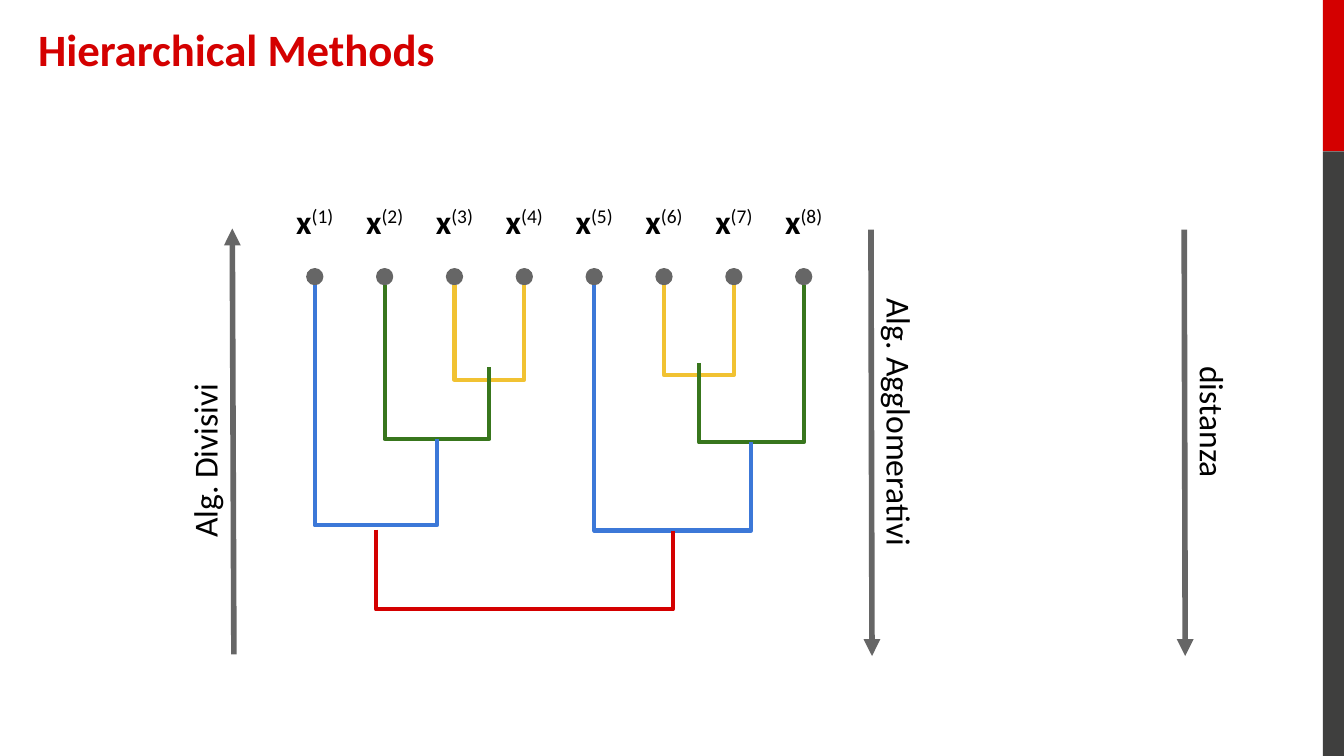
"""Build the slide on hierarchical clustering with its dendrogram."""
from pptx import Presentation
from pptx.dml.color import RGBColor
from pptx.enum.shapes import MSO_CONNECTOR as CONN, MSO_SHAPE as SHAPE
from pptx.enum.text import PP_ALIGN as ALIGN
from pptx.oxml.ns import qn
from pptx.util import Cm, Pt
from lxml.etree import SubElement

COLORS = {
    "red": "D40000", "dark": "3F3F3E", "gray": "666666", "black": "000000",
    "yellow": "F1C232", "green": "38761D", "blue": "3C78D8",
}
FONT = "Calibri"
LEAVES = 8
LEAF_X, LEAF_STEP = 5.95, 1.32
DOT_TOP, DOT_SIZE = 5.08, 0.3
DOT_BOTTOM = DOT_TOP + DOT_SIZE
MIN_RISE = 0.01

# Each join: left and right leaf position, their top ends, the bar's height, colour.
JOINS = [
    (2, 3, DOT_BOTTOM, DOT_BOTTOM, 7.18, "yellow"),
    (5, 6, DOT_BOTTOM, DOT_BOTTOM, 7.09, "yellow"),
    (1, 2.5, DOT_BOTTOM, 6.93, 8.3, "green"),
    (5.5, 7, 6.86, DOT_BOTTOM, 8.36, "green"),
    (0, 1.75, DOT_BOTTOM, 8.3, 9.93, "blue"),
    (4, 6.25, DOT_BOTTOM, 8.36, 10.03, "blue"),
    (0.875, 5.125, 10.01, 10.03, 11.52, "red"),
]
ARROWS = [
    ("distanza", (22.38, 4.34), (22.4, 12.4), (22.92, 7.98), 90),
    ("Alg. Agglomerativi", (16.46, 4.34), (16.48, 12.4), (17, 7.98), 90),
    ("Alg. Divisivi", (4.42, 12.37), (4.39, 4.32), (3.87, 8.71), 270),
]


def rgb(name):
    """Return the named colour."""
    return RGBColor.from_string(COLORS[name])


def leaf_x(i):
    """Return the horizontal centre of a leaf position."""
    return LEAF_X + i * LEAF_STEP


def add_text(slide, box, text, size=18, color="black", bold=False, sup="",
             align=ALIGN.CENTER, insets=(0.25, 0.25, 0.25, 0.25), rotation=0):
    """Add a text box with an optional superscript after the text."""
    s = slide.shapes.add_textbox(*map(Cm, box))
    s.rotation = rotation
    tf = s.text_frame
    tf.word_wrap = True
    tf.margin_left, tf.margin_top, tf.margin_right, tf.margin_bottom = map(Cm, insets)
    p = tf.paragraphs[0]
    p.alignment = align
    for part, is_sup in ((text, False), (sup, True)):
        if part:
            r = p.add_run()
            r.text = part
            r.font.name, r.font.size = FONT, Pt(size)
            r.font.bold = bold and not is_sup
            r.font.color.rgb = rgb(color)
            if is_sup:
                r._r.get_or_add_rPr().set("baseline", "30000")


def add_filled(slide, kind, box, color, outlined=False):
    """Add a plain filled shape."""
    s = slide.shapes.add_shape(kind, *map(Cm, box))
    s.shadow.inherit = False
    s.fill.solid()
    s.fill.fore_color.rgb = rgb(color)
    if outlined:
        s.line.color.rgb = rgb(color)
        s.line.width = Pt(0.75)
    else:
        s.line.fill.background()


def add_line(slide, kind, start, end, color, width):
    """Add a connector without a shadow."""
    s = slide.shapes.add_connector(kind, *map(Cm, (*start, *end)))
    s.line.color.rgb = rgb(color)
    s.line.width = Pt(width)
    SubElement(s._element.spPr, qn("a:effectLst"))
    return s


def add_arrow(slide, start, end):
    """Add a straight arrow."""
    s = add_line(slide, CONN.STRAIGHT, start, end, "gray", 3)
    SubElement(s.line._get_or_add_ln(), qn("a:tailEnd"), type="triangle")


def add_join(slide, left, right, left_top, right_top, bar, color):
    """Add a U-shaped elbow connector, turned so its middle leg is the bar."""
    x1, x2 = leaf_x(left), leaf_x(right)
    rise = (right_top - left_top) or MIN_RISE
    w, h = abs(rise), x2 - x1
    x, y = (x1 + x2 - w) / 2, left_top + (rise - h) / 2
    s = add_line(slide, CONN.ELBOW, (x, y), (x + w, y + h), color, 2.25)
    sp = s._element.spPr
    xfrm = sp.find(qn("a:xfrm"))
    xfrm.set("rot", "16200000")
    if rise > 0:
        xfrm.set("flipH", "1")
    ratio = round((bar - left_top) / rise * 100000)
    guides = sp.find(qn("a:prstGeom")).find(qn("a:avLst"))
    SubElement(guides, qn("a:gd"), name="adj1", fmla=f"val {ratio}")


def add_leaf(slide, i):
    """Add a labelled leaf of the dendrogram."""
    x = leaf_x(i)
    add_text(slide, (x - 0.65, 3.66, 1.3, 1.19), "x", bold=True, sup=f"({i + 1})",
             insets=(0.25, 0.13, 0.25, 0.13))
    add_filled(slide, SHAPE.OVAL, (x - DOT_SIZE / 2, DOT_TOP, DOT_SIZE, DOT_SIZE),
               "gray", outlined=True)


def main():
    """Build and save the slide."""
    prs = Presentation()
    prs.slide_width, prs.slide_height = Cm(25.4), Cm(14.29)
    slide = prs.slides.add_slide(prs.slide_layouts[6])
    add_filled(slide, SHAPE.RECTANGLE, (25, 0, 0.4, 2.86), "red")
    add_filled(slide, SHAPE.RECTANGLE, (25, 2.86, 0.4, 11.43), "dark")
    add_text(slide, (0.72, 0.38, 20.24, 1.07), "Hierarchical Methods", size=24,
             color="red", bold=True, align=ALIGN.LEFT, insets=(0, 0.03, 0, 0))
    for i in range(LEAVES):
        add_leaf(slide, i)
    for join in JOINS:
        add_join(slide, *join)
    for label, start, end, (cx, cy), rotation in ARROWS:
        add_arrow(slide, start, end)
        add_text(slide, (cx - 3.67, cy - 0.64, 7.34, 1.28), label, rotation=rotation)
    prs.save("out.pptx")


if __name__ == "__main__":
    main()
